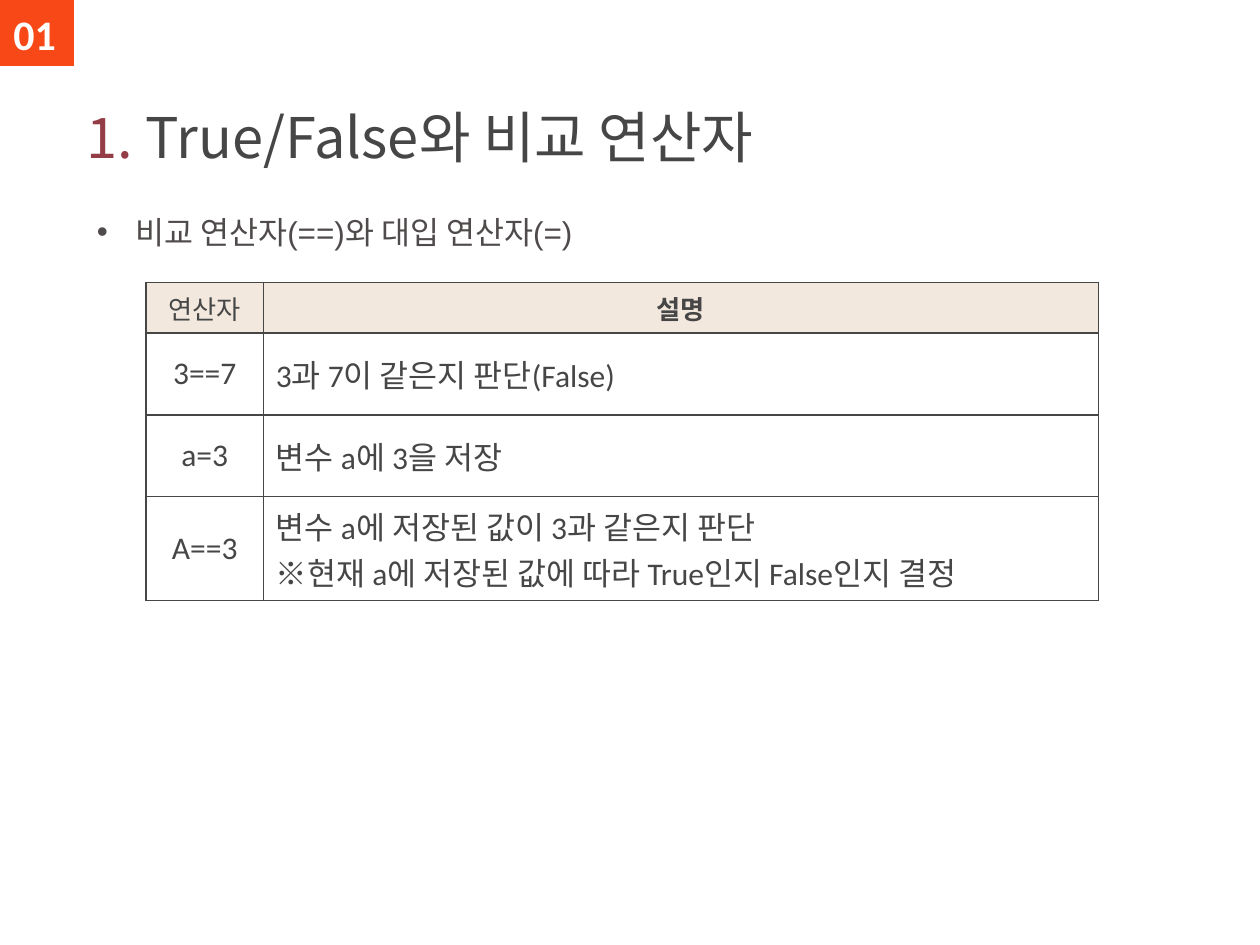
from lxml.etree import SubElement
from pptx import Presentation
from pptx.dml.color import RGBColor
from pptx.enum.shapes import MSO_SHAPE
from pptx.enum.text import MSO_ANCHOR, PP_ALIGN
from pptx.oxml.ns import qn
from pptx.util import Inches, Pt

INK = "464646"
HEADER_FILL = "F2E8DE"
KOREAN_FONT = "Noto Sans CJK KR"
COLUMNS = (0.93, 6.63)
ROWS = (
    (0.32, "연산자", ["설명"]),
    (0.65, "3==7", ["3과 7이 같은지 판단(False)"]),
    (0.65, "a=3", ["변수 a에 3을 저장"]),
    (0.72, "A==3", ["변수 a에 저장된 값이 3과 같은지 판단",
                    "※현재 a에 저장된 값에 따라 True인지 False인지 결정"]),
)


def color(value):
    return RGBColor.from_string(value)


def inches(box):
    return [Inches(length) for length in box]


def add_span(para, text, size=18, font="Calibri", ink=INK, bold=False):
    span = para.add_run()
    span.text = text
    span.font.size = Pt(size)
    span.font.name = font
    span.font.bold = bold
    span.font.color.rgb = color(ink)
    SubElement(span.font._element, qn("a:ea"), typeface=KOREAN_FONT)


def add_text_box(page, box, anchor=MSO_ANCHOR.TOP):
    """Add a wrapping text box and return its first paragraph."""
    frame = page.shapes.add_textbox(*inches(box)).text_frame
    frame.word_wrap = True
    frame.vertical_anchor = anchor
    return frame.paragraphs[0]


def add_section_number(page, box, number):
    left, top, width, height = box
    tile = page.shapes.add_shape(MSO_SHAPE.FLOWCHART_PROCESS, *inches(box))
    tile.shadow.inherit = False
    tile.fill.solid()
    tile.fill.fore_color.rgb = color("F84818")
    tile.line.fill.background()
    para = add_text_box(page, (left - 0.12, top + 0.02, width + 0.2, height - 0.02))
    para.alignment = PP_ALIGN.CENTER
    add_span(para, number, size=24, ink="FFFFFF", bold=True)


def add_title(page, box, number, title):
    para = add_text_box(page, box, MSO_ANCHOR.BOTTOM)
    add_span(para, number, size=32, font=KOREAN_FONT, ink="953D46")
    add_span(para, title, size=32, font=KOREAN_FONT)


def add_bullet(page, box, text):
    para = add_text_box(page, box)
    para.line_spacing = 1.1
    properties = para._p.get_or_add_pPr()
    properties.set("marL", str(Inches(0.25)))
    properties.set("indent", str(-Inches(0.25)))
    SubElement(properties, qn("a:buFont"), typeface="Arial")
    SubElement(properties, qn("a:buChar"), char="•")
    add_span(para, text, font="Arial", ink="504B4B")


def add_borders(cell):
    properties = cell._tc.get_or_add_tcPr()
    for side in ("lnL", "lnR", "lnT", "lnB"):
        line = SubElement(properties, qn(f"a:{side}"), w=str(Pt(1)))
        fill = SubElement(line, qn("a:solidFill"))
        SubElement(fill, qn("a:srgbClr"), val=INK)


def fill_cell(cell, lines, centered, header, bold):
    add_borders(cell)
    if header:
        cell.fill.solid()
        cell.fill.fore_color.rgb = color(HEADER_FILL)
    else:
        cell.fill.background()
        cell.vertical_anchor = MSO_ANCHOR.MIDDLE
    frame = cell.text_frame
    for index, text in enumerate(lines):
        para = frame.add_paragraph() if index else frame.paragraphs[0]
        para.alignment = PP_ALIGN.CENTER if centered else PP_ALIGN.LEFT
        add_span(para, text, size=15 if header else 18, bold=bold)


def add_operator_table(page, left, top):
    heights = [height for height, _, _ in ROWS]
    box = (left, top, sum(COLUMNS), sum(heights))
    table = page.shapes.add_table(len(ROWS), len(COLUMNS), *inches(box)).table
    table.first_row = table.horz_banding = False
    for column, width in zip(table.columns, COLUMNS):
        column.width = Inches(width)
    for index, (height, operator, meaning) in enumerate(ROWS):
        table.rows[index].height = Inches(height)
        header = index == 0
        fill_cell(table.cell(index, 0), [operator], True, header, False)
        fill_cell(table.cell(index, 1), meaning, header, header, header)


def main():
    deck = Presentation()
    deck.slide_width, deck.slide_height = Inches(10), Inches(7.5)
    page = deck.slides.add_slide(deck.slide_layouts[6])
    add_operator_table(page, 1.16, 2.24)
    add_section_number(page, (0, 0, 0.59, 0.52), "01")
    add_title(page, (0.59, 0.52, 8.87, 0.88), "1. ", "True/False와 비교 연산자")
    add_bullet(page, (0.67, 1.61, 8.86, 5.43), " 비교 연산자(==)와 대입 연산자(=)")
    deck.save("out.pptx")


if __name__ == "__main__":
    main()
